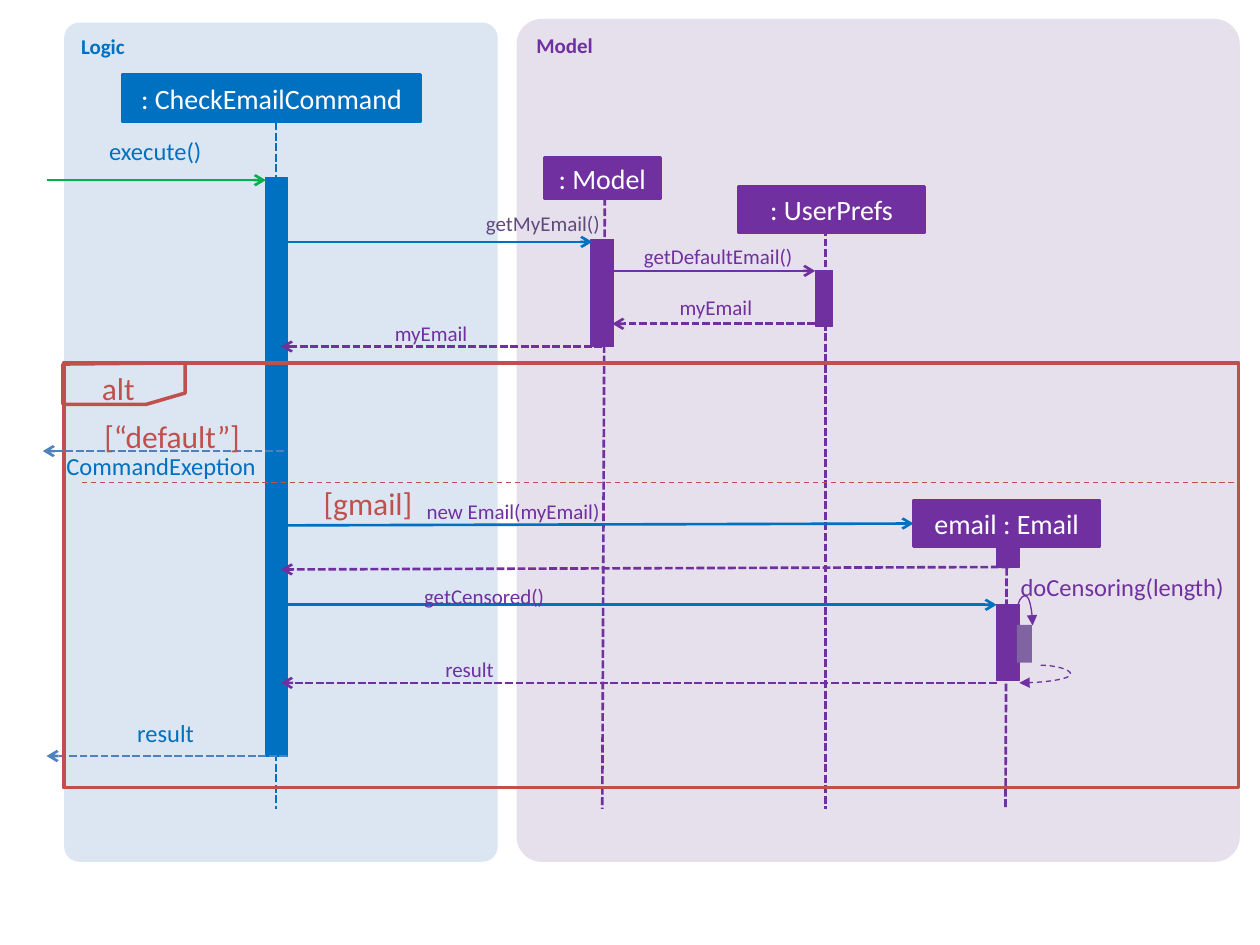
from dataclasses import dataclass

from lxml import etree
from pptx import Presentation
from pptx.dml.color import RGBColor
from pptx.enum.dml import MSO_LINE
from pptx.enum.shapes import MSO_CONNECTOR, MSO_SHAPE
from pptx.enum.text import MSO_ANCHOR, MSO_AUTO_SIZE, PP_ALIGN
from pptx.oxml.ns import qn
from pptx.util import Emu, Pt

PX = 9144  # EMU in one px, 100 px to the inch
RECTANGLE, ROUNDED, FRAME = MSO_SHAPE.RECTANGLE, MSO_SHAPE.ROUNDED_RECTANGLE, MSO_SHAPE.FRAME
STRAIGHT, CURVE = MSO_CONNECTOR.STRAIGHT, MSO_CONNECTOR.CURVE
SHORT_DASH, DASH = MSO_LINE.SQUARE_DOT, MSO_LINE.DASH
LEFT, CENTER, RIGHT = PP_ALIGN.LEFT, PP_ALIGN.CENTER, PP_ALIGN.RIGHT
TOP, MIDDLE = MSO_ANCHOR.TOP, MSO_ANCHOR.MIDDLE
FIT_SHAPE = MSO_AUTO_SIZE.SHAPE_TO_FIT_TEXT
BOTTOM_SIDE, LEFT_SIDE = 2, 1


@dataclass(frozen=True)
class Theme:
    font: str = "Calibri"
    logic: str = "0070C0"
    logic_panel: str = "DCE6F2"
    model: str = "7030A0"
    model_panel: str = "E6E0EC"
    self_call: str = "8064A2"
    model_call: str = "604A7B"
    entry: str = "00B050"
    exit: str = "4F81BD"
    alt: str = "C0504D"
    white: str = "FFFFFF"
    small: int = 12
    label: int = 14
    head: int = 16
    guard: int = 18
    thin: float = 0.75
    normal: float = 1.5
    thick: float = 2


THEME = Theme()


@dataclass(frozen=True)
class Box:
    left: int
    top: int
    width: int
    height: int

    def point(self, x, y):
        return Emu((self.left + x) * PX), Emu((self.top + y) * PX)


def style_line(line, color, width, dash=None):
    line.color.rgb = RGBColor.from_string(color)
    line.width = Pt(width)
    if dash:
        line.dash_style = dash


def write(shape, text, size, color, align=LEFT, anchor=TOP, bold=False):
    text_frame = shape.text_frame
    text_frame.text = text
    text_frame.word_wrap = True
    text_frame.vertical_anchor = anchor
    paragraph = text_frame.paragraphs[0]
    paragraph.alignment = align
    font = paragraph.runs[0].font
    font.name, font.size, font.bold = THEME.font, Pt(size), bold
    font.color.rgb = RGBColor.from_string(color)


def add_block(slide, box, x, y, width, height, fill, line_width=0, kind=RECTANGLE, line_color=None):
    shape = slide.shapes.add_shape(kind, *box.point(x, y), Emu(width * PX), Emu(height * PX))
    shape.shadow.inherit = False
    shape.fill.solid()
    shape.fill.fore_color.rgb = RGBColor.from_string(fill)
    if line_width:
        style_line(shape.line, line_color or fill, line_width)
    else:
        shape.line.fill.background()
    return shape


def add_label(slide, box, x, y, width, height, text, size, color, align=RIGHT, padded=False):
    shape = slide.shapes.add_textbox(*box.point(x, y), Emu(width * PX), Emu(height * PX))
    write(shape, text, size, color, align)
    text_frame = shape.text_frame
    text_frame.auto_size = FIT_SHAPE
    if not padded:
        text_frame.margin_left = text_frame.margin_right = 0
        text_frame.margin_top = text_frame.margin_bottom = 0


def add_line(slide, box, start, end, color, width=THEME.normal, dash=None, arrow=None, kind=STRAIGHT):
    connector = slide.shapes.add_connector(kind, *box.point(*start), *box.point(*end))
    style_line(connector.line, color, width, dash)
    properties = connector.element.spPr
    if arrow:
        etree.SubElement(properties.find(qn("a:ln")), qn("a:tailEnd")).set("type", arrow)
    etree.SubElement(properties, qn("a:effectLst"))
    return connector


def add_curve(slide, box, start, end, bend, dash=None, rotation=0):
    connector = add_line(slide, box, start, end, THEME.model, THEME.thin, dash, "triangle", CURVE)
    properties = connector.element.spPr
    properties.find(qn("a:xfrm")).set("rot", str(rotation * 60000))
    geometry = properties.find(qn("a:prstGeom"))
    guide = etree.SubElement(geometry.find(qn("a:avLst")), qn("a:gd"))
    guide.set("name", "adj1")
    guide.set("fmla", f"val {bend}")


def add_panel(slide, box, title, fill, color):
    panel = add_block(slide, box, 0, 0, box.width, box.height, fill, kind=ROUNDED)
    panel.adjustments[0] = 0.035
    write(panel, title, THEME.small, color, bold=True)


def add_participant(slide, box, name, color, head, lifeline, bars):
    head_shape = add_block(slide, box, *head, color, THEME.normal)
    write(head_shape, name, THEME.head, THEME.white, CENTER, MIDDLE)
    line = add_line(slide, box, *lifeline, color, dash=SHORT_DASH)
    if lifeline[0][0] == head[0] + head[2] // 2:
        line.begin_connect(head_shape, BOTTOM_SIDE)
    for bar in bars:
        add_block(slide, box, *bar, color, THEME.thin)
    return head_shape


def add_logic(slide, box):
    add_panel(slide, box, "Logic", THEME.logic_panel, THEME.logic)
    add_participant(slide, box, ": CheckEmailCommand", THEME.logic, (46, 41, 237, 38),
                    ((168, 79), (168, 624)), [(160, 123, 17, 459)])


def add_model(slide, box):
    add_panel(slide, box, "Model", THEME.model_panel, THEME.model)
    participants = [
        (": UserPrefs", (176, 133, 148, 37), ((245, 166), (245, 627)), [(237, 200, 14, 44)]),
        (": Model", (22, 110, 92, 33), ((70, 142), (68, 627)), [(59, 175, 18, 85)]),
        ("email : Email", (315, 382, 148, 37), ((389, 419), (388, 627)),
         [(381, 410, 18, 25), (381, 465, 18, 60)]),
    ]
    for name, *parts in participants:
        email_head = add_participant(slide, box, name, THEME.model, *parts)
    # Self call on the email object
    add_block(slide, box, 397, 481, 12, 30, THEME.self_call)
    add_curve(slide, box, (410, 469), (397, 481), -83000, rotation=270)
    add_curve(slide, box, (416, 513), (399, 527), -140500, DASH)
    add_label(slide, box, 400, 439, 163, 24, "doCensoring(length)", THEME.label, THEME.model, LEFT)
    return email_head


def add_messages(slide, box, email_head):
    calls = [
        ((37, 43), (211, 43), THEME.entry),
        ((223, 92), (470, 92), THEME.logic),
        ((486, 115), (647, 115), THEME.model),
        ((219, 380), (791, 380), THEME.logic),
    ]
    for start, end, color in calls:
        add_line(slide, box, start, end, color, arrow="arrow")
    creation = add_line(slide, box, (225, 317), (725, 317), THEME.logic, arrow="arrow")
    creation.end_connect(email_head, LEFT_SIDE)

    returns = [
        ((228, 500), (37, 500), THEME.exit),
        ((647, 157), (486, 157), THEME.model),
        ((478, 175), (223, 175), THEME.model),
        ((801, 350), (223, 352), THEME.model),
        ((791, 442), (223, 442), THEME.model),
    ]
    for start, end, color in returns:
        add_line(slide, box, start, end, color, dash=SHORT_DASH, arrow="arrow")

    labels = [
        (4, 8, 156, 24, "execute()", THEME.label, THEME.logic),
        (71, 470, 83, 24, "result", THEME.label, THEME.logic),
        (334, 67, 142, 20, "getMyEmail()", THEME.small, THEME.model_call),
        (505, 93, 124, 20, "getDefaultEmail()", THEME.small, THEME.model),
        (534, 134, 63, 21, "myEmail", THEME.small, THEME.model),
        (308, 154, 63, 21, "myEmail", THEME.small, THEME.model),
        (300, 296, 176, 20, "new Email(myEmail)", THEME.small, THEME.model),
        (308, 363, 124, 20, "getCensored()", THEME.small, THEME.model),
        (346, 421, 46, 20, "result", THEME.small, THEME.model),
    ]
    for label in labels:
        add_label(slide, box, *label)


def add_alternative(slide, box):
    frame = add_block(slide, box, 0, 0, box.width, box.height, THEME.white, THEME.thick, FRAME, THEME.alt)
    frame.adjustments[0] = 0
    add_line(slide, box, (14, 95), (box.width, 95), THEME.alt, THEME.thin, DASH)
    # Corner tab
    corners = [box.point(*corner) for corner in [(-1, 33), (65, 33), (96, 24), (96, 0), (-1, 1)]]
    builder = slide.shapes.build_freeform(*corners[0])
    builder.add_line_segments(corners[1:], close=True)
    tab = builder.convert_to_shape()
    tab.shadow.inherit = False
    tab.fill.background()
    style_line(tab.line, THEME.alt, THEME.thick)
    # Error exit
    add_line(slide, box, (174, 70), (-17, 70), THEME.exit, dash=SHORT_DASH, arrow="arrow")
    add_label(slide, box, -22, 70, 174, 24, "CommandExeption", THEME.label, THEME.logic)
    # Operator and guards
    for x, y, width, text in [(20, 0, 70, "alt"), (22, 38, 160, "[“default”]"), (196, 91, 160, "[gmail]")]:
        add_label(slide, box, x, y, width, 40, text, THEME.guard, THEME.alt, LEFT, padded=True)


def main():
    presentation = Presentation()
    presentation.slide_width, presentation.slide_height = Emu(1000 * PX), Emu(750 * PX)
    slide = presentation.slides.add_slide(presentation.slide_layouts[6])
    email_head = add_model(slide, Box(410, 15, 574, 669))
    add_logic(slide, Box(51, 18, 344, 666))
    add_messages(slide, Box(0, 100, 1000, 500), email_head)
    add_alternative(slide, Box(51, 288, 932, 337))
    presentation.save("out.pptx")


if __name__ == "__main__":
    main()
